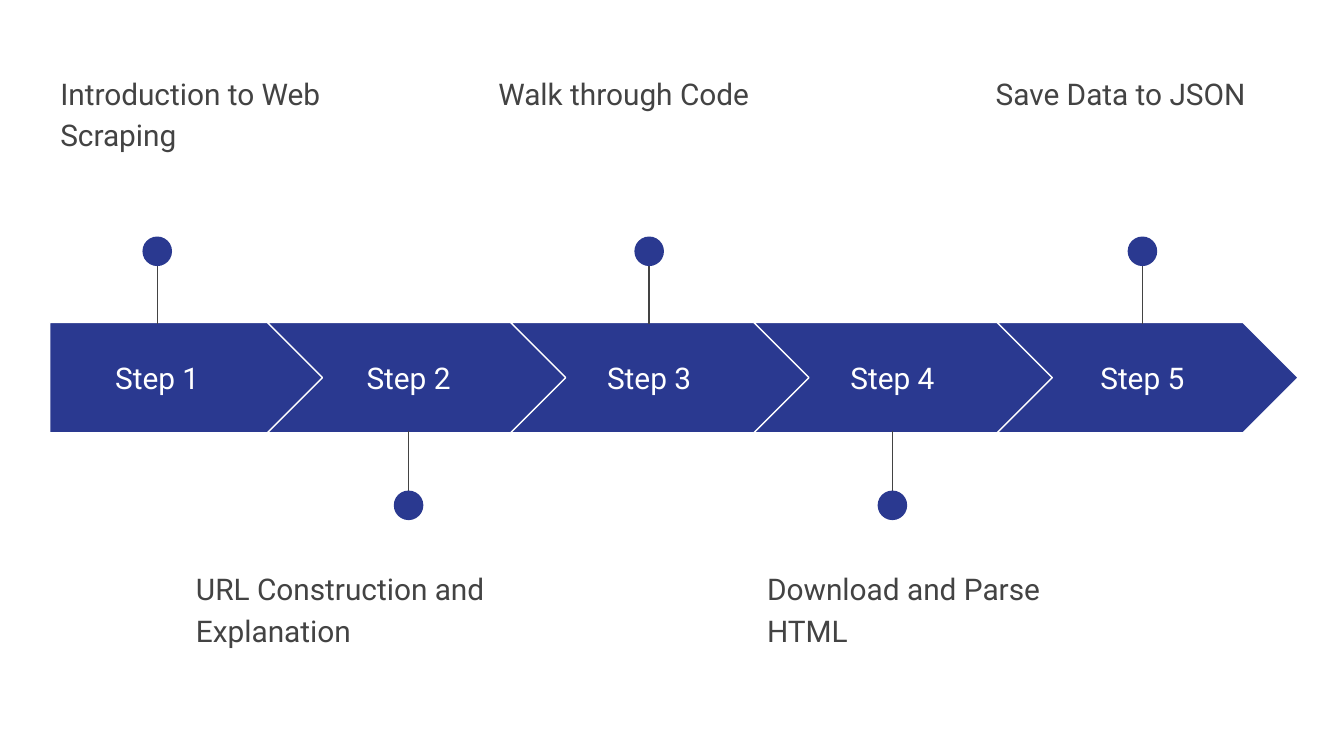
import pptx
import pptx.util
import pptx.dml.color
import pptx.enum.shapes
import pptx.enum.text
import pptx.oxml.ns
import lxml.etree

Inches = pptx.util.Inches
Pt = pptx.util.Pt
MSO_SHAPE = pptx.enum.shapes.MSO_SHAPE
MSO_ANCHOR = pptx.enum.text.MSO_ANCHOR
PP_ALIGN = pptx.enum.text.PP_ALIGN

COLORS = {"navy": "2A3990", "gray": "434343", "white": "FFFFFF"}
FONT = "Roboto"

BAND_TOP, BAND_HEIGHT = 2.4, 0.82
CHEVRON_LEFT, CHEVRON_WIDTH, CHEVRON_PITCH = 1.99, 2.24, 1.81
LABEL_WIDTH, LABEL_HEIGHT = 1.44, 0.51
DOT_SIZE = 0.22

STEPS = [
    ("Introduction to Web Scraping", 1.17, 0.35),
    ("URL Construction and Explanation", 3.04, 1.36),
    ("Walk through Code", 4.83, 3.61),
    ("Download and Parse HTML", 6.64, 5.61),
    ("Save Data to JSON", 8.5, 7.31),
]


def rgb(name):
    return pptx.dml.color.RGBColor.from_string(COLORS[name])


def add_filled_shape(slide, kind, left, top, width, height, outline=None):
    sp = slide.shapes.add_shape(
        kind, Inches(left), Inches(top), Inches(width), Inches(height))
    sp.shadow.inherit = False
    sp.fill.solid()
    sp.fill.fore_color.rgb = rgb("navy")
    if outline:
        sp.line.color.rgb = rgb(outline)
        sp.line.width = Pt(0.75)
    else:
        sp.line.fill.background()
    return sp


def add_text(slide, text, left, top, width, height, color):
    box = slide.shapes.add_textbox(
        Inches(left), Inches(top), Inches(width), Inches(height))
    tf = box.text_frame
    tf.word_wrap = True
    tf.margin_left = tf.margin_right = Inches(0.1)
    tf.margin_top = tf.margin_bottom = Inches(0.1)
    p = tf.paragraphs[0]
    p.text = text
    p.font.name = FONT
    p.font.size = Pt(16)
    p.font.color.rgb = rgb(color)
    return tf


def add_arrow(slide, index):
    if index == 0:
        kind, left, width = MSO_SHAPE.PENTAGON, 0.37, 2.05
    else:
        kind, width = MSO_SHAPE.CHEVRON, CHEVRON_WIDTH
        left = CHEVRON_LEFT + (index - 1) * CHEVRON_PITCH
    sp = add_filled_shape(
        slide, kind, left, BAND_TOP, width, BAND_HEIGHT, outline="white")
    sp.adjustments[0] = 0.5


def add_label(slide, number, center):
    top = BAND_TOP + (BAND_HEIGHT - LABEL_HEIGHT) / 2
    tf = add_text(slide, f"Step {number}", center - LABEL_WIDTH / 2, top,
                  LABEL_WIDTH, LABEL_HEIGHT, "white")
    tf.vertical_anchor = MSO_ANCHOR.MIDDLE
    tf.paragraphs[0].alignment = PP_ALIGN.CENTER


def add_pin(slide, x, above):
    start, end, dot_top = (1.8, 2.41, 1.76) if above else (3.82, 3.21, 3.65)
    line = slide.shapes.add_connector(
        pptx.enum.shapes.MSO_CONNECTOR.STRAIGHT,
        Inches(x), Inches(start), Inches(x), Inches(end))
    line.line.color.rgb = rgb("gray")
    line.line.width = Pt(0.75)
    lxml.etree.SubElement(
        line._element.spPr, pptx.oxml.ns.qn("a:effectLst"))
    add_filled_shape(slide, MSO_SHAPE.OVAL, x - DOT_SIZE / 2, dot_top,
                     DOT_SIZE, DOT_SIZE)


def add_description(slide, text, left, above):
    tf = add_text(slide, text, left, 0.42 if above else 4.11,
                  2.45, 0.99, "gray")
    p = tf.paragraphs[0]
    p.line_spacing = 1.15
    p.space_after = Pt(16)


def main():
    prs = pptx.Presentation()
    prs.slide_width = Inches(10)
    prs.slide_height = prs.slide_width * 9 // 16
    slide = prs.slides.add_slide(prs.slide_layouts[6])
    for index, (text, center, text_left) in enumerate(STEPS):
        above = index % 2 == 0
        add_arrow(slide, index)
        add_label(slide, index + 1, center)
        add_pin(slide, center, above)
        add_description(slide, text, text_left, above)
    prs.save("out.pptx")


if __name__ == "__main__":
    main()
